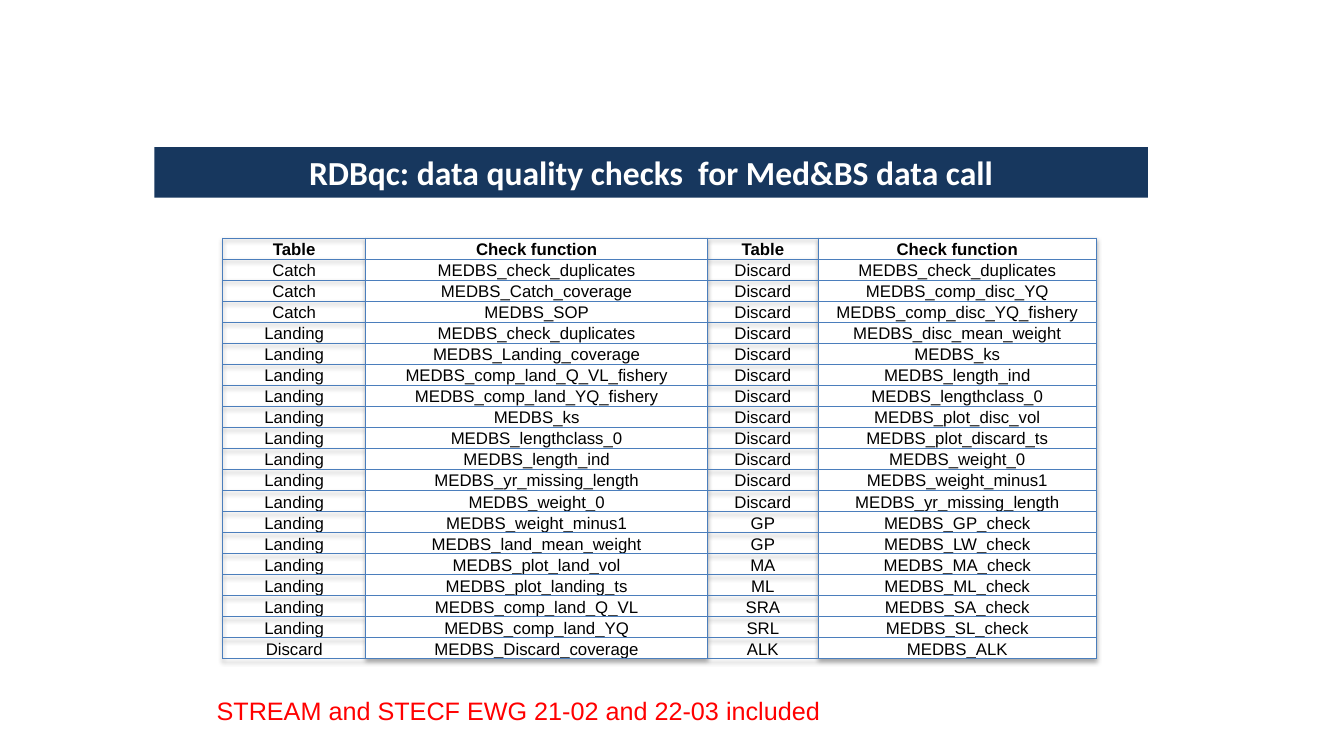
import pptx
import pptx.util
import pptx.dml.color
import pptx.enum.text
import pptx.oxml
import pptx.oxml.ns

Cm = pptx.util.Cm
Pt = pptx.util.Pt
ALIGN = pptx.enum.text.PP_ALIGN
ANCHOR = pptx.enum.text.MSO_ANCHOR

HEADING = "RDBqc: data quality checks  for Med&BS data call"
NOTE = "STREAM and STECF EWG 21-02 and 22-03 included"
CHECKS = [
    ("Table", "Check function", "Table", "Check function"),
    ("Catch", "MEDBS_check_duplicates", "Discard", "MEDBS_check_duplicates"),
    ("Catch", "MEDBS_Catch_coverage", "Discard", "MEDBS_comp_disc_YQ"),
    ("Catch", "MEDBS_SOP", "Discard", "MEDBS_comp_disc_YQ_fishery"),
    ("Landing", "MEDBS_check_duplicates", "Discard", "MEDBS_disc_mean_weight"),
    ("Landing", "MEDBS_Landing_coverage", "Discard", "MEDBS_ks"),
    ("Landing", "MEDBS_comp_land_Q_VL_fishery", "Discard", "MEDBS_length_ind"),
    ("Landing", "MEDBS_comp_land_YQ_fishery", "Discard", "MEDBS_lengthclass_0"),
    ("Landing", "MEDBS_ks", "Discard", "MEDBS_plot_disc_vol"),
    ("Landing", "MEDBS_lengthclass_0", "Discard", "MEDBS_plot_discard_ts"),
    ("Landing", "MEDBS_length_ind", "Discard", "MEDBS_weight_0"),
    ("Landing", "MEDBS_yr_missing_length", "Discard", "MEDBS_weight_minus1"),
    ("Landing", "MEDBS_weight_0", "Discard", "MEDBS_yr_missing_length"),
    ("Landing", "MEDBS_weight_minus1", "GP", "MEDBS_GP_check"),
    ("Landing", "MEDBS_land_mean_weight", "GP", "MEDBS_LW_check"),
    ("Landing", "MEDBS_plot_land_vol", "MA", "MEDBS_MA_check"),
    ("Landing", "MEDBS_plot_landing_ts", "ML", "MEDBS_ML_check"),
    ("Landing", "MEDBS_comp_land_Q_VL", "SRA", "MEDBS_SA_check"),
    ("Landing", "MEDBS_comp_land_YQ", "SRL", "MEDBS_SL_check"),
    ("Discard", "MEDBS_Discard_coverage", "ALK", "MEDBS_ALK"),
]
COLUMN_WIDTHS = (3.61, 8.61, 2.79, 7.01)
ROW_HEIGHT = 0.53
BORDER = "4B7EBC"


def rgb(value):
    return pptx.dml.color.RGBColor.from_string(value)


def write(frame, text, size=12, font="Arial", color="000000", bold=False, align=ALIGN.LEFT):
    paragraph = frame.paragraphs[0]
    paragraph.alignment = align
    run = paragraph.add_run()
    run.text = text
    run.font.size = Pt(size)
    run.font.name = font
    run.font.bold = bold
    run.font.color.rgb = rgb(color)


def add_borders(cell):
    properties = cell._tc.get_or_add_tcPr()
    for position, side in enumerate(("lnL", "lnR", "lnT", "lnB")):
        properties.insert(position, pptx.oxml.parse_xml(
            f'<a:{side} {pptx.oxml.ns.nsdecls("a")} w="{Pt(0.75)}"><a:solidFill>'
            f'<a:srgbClr val="{BORDER}"/></a:solidFill></a:{side}>'))


def add_shadow(table):
    table._tbl.tblPr.insert(0, pptx.oxml.parse_xml(
        f'<a:effectLst {pptx.oxml.ns.nsdecls("a")}>'
        '<a:outerShdw blurRad="40000" dist="23000" dir="5400000" rotWithShape="0">'
        '<a:srgbClr val="000000"><a:alpha val="35000"/></a:srgbClr>'
        '</a:outerShdw></a:effectLst>'))


def add_heading(slide):
    heading = slide.shapes.title
    heading.left, heading.top, heading.width, heading.height = map(Cm, (3.89, 3.71, 25.04, 1.27))
    heading.fill.solid()
    heading.fill.fore_color.rgb = rgb("17375E")
    frame = heading.text_frame
    frame.auto_size = pptx.enum.text.MSO_AUTO_SIZE.NONE
    frame.vertical_anchor = ANCHOR.MIDDLE
    write(frame, HEADING, size=24, font="Calibri", color="FFFFFF", bold=True, align=ALIGN.CENTER)


def add_checks(slide):
    checks = slide.shapes.add_table(
        len(CHECKS), len(COLUMN_WIDTHS), Cm(5.61), Cm(6),
        Cm(sum(COLUMN_WIDTHS)), Cm(ROW_HEIGHT * len(CHECKS))).table
    checks.first_row = checks.horz_banding = False
    add_shadow(checks)
    for column, width in zip(checks.columns, COLUMN_WIDTHS):
        column.width = Cm(width)
    for r, entries in enumerate(CHECKS):
        checks.rows[r].height = Cm(ROW_HEIGHT)
        for c, entry in enumerate(entries):
            cell = checks.cell(r, c)
            cell.margin_left = cell.margin_right = cell.margin_top = Cm(0.02)
            cell.margin_bottom = 0
            cell.vertical_anchor = ANCHOR.BOTTOM
            if c % 2:
                cell.fill.solid()
                cell.fill.fore_color.rgb = rgb("FFFFFF")
            else:
                cell.fill.background()
            add_borders(cell)
            write(cell.text_frame, entry, bold=r == 0, align=ALIGN.CENTER)


def add_note(slide):
    note = slide.shapes.add_textbox(Cm(5.21), Cm(17.4), Cm(16.21), Cm(1.02))
    note.text_frame.word_wrap = True
    write(note.text_frame, NOTE, size=18, color="FF0000")


def main():
    deck = pptx.Presentation()
    deck.slide_width, deck.slide_height = Cm(33.87), Cm(19.05)
    slide = deck.slides.add_slide(deck.slide_layouts[5])
    add_heading(slide)
    add_checks(slide)
    add_note(slide)
    deck.save("out.pptx")


if __name__ == "__main__":
    main()
